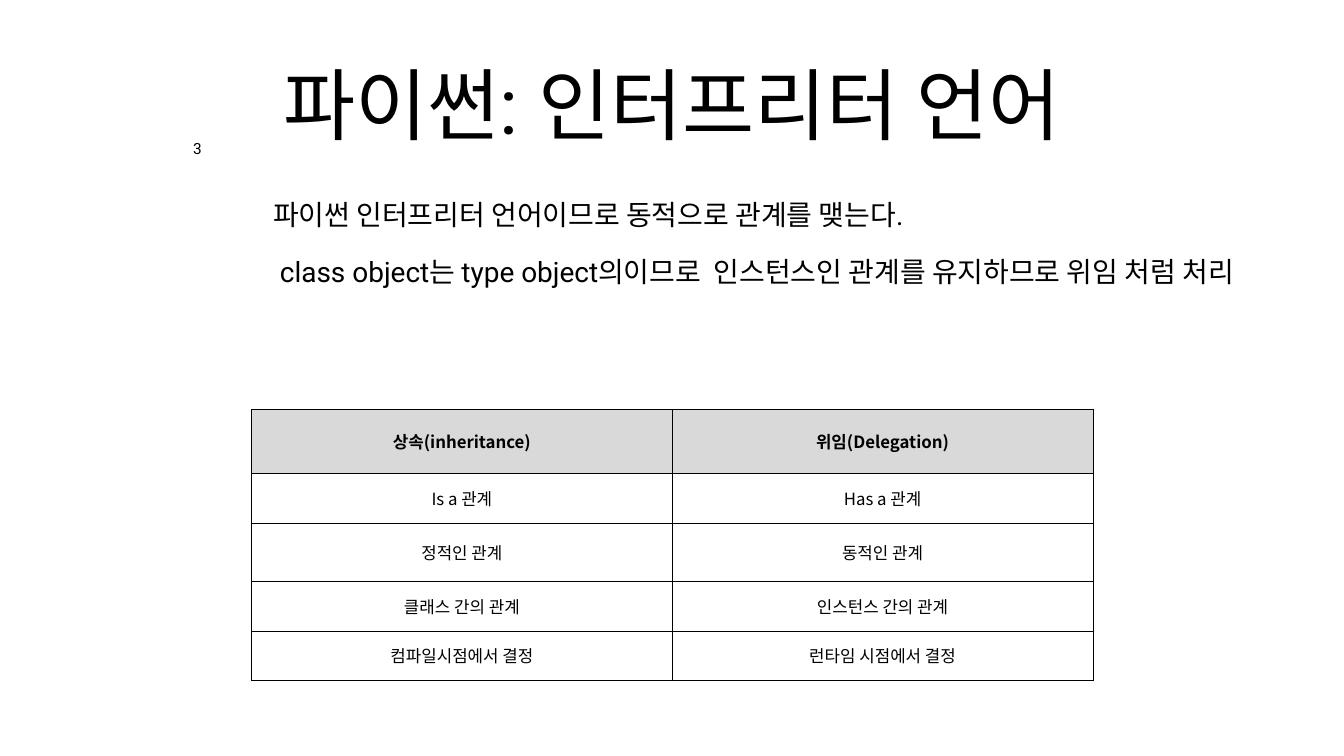
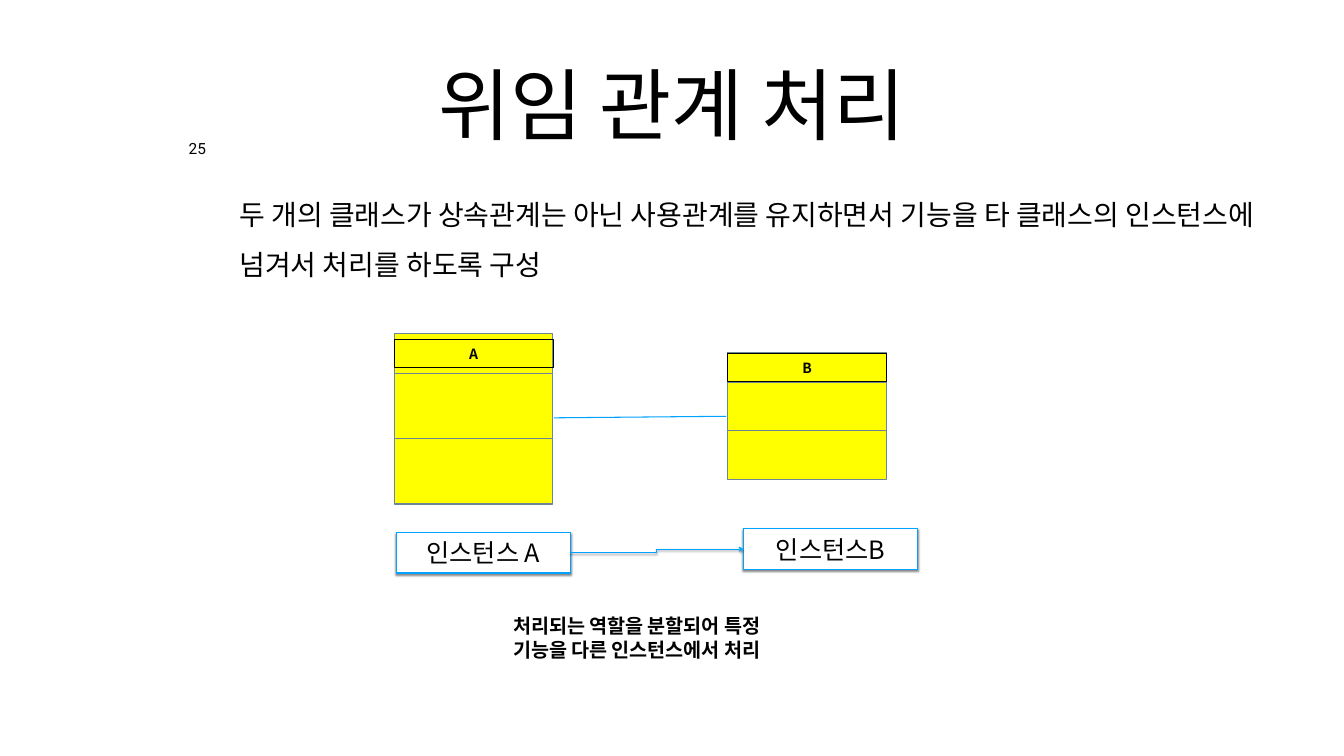
from dataclasses import dataclass

from lxml import etree
from pptx import Presentation
from pptx.dml.color import RGBColor
from pptx.enum.shapes import MSO_CONNECTOR, MSO_SHAPE
from pptx.enum.text import MSO_ANCHOR, MSO_AUTO_SIZE, PP_ALIGN
from pptx.oxml.ns import qn
from pptx.util import Pt

RECT = MSO_SHAPE.RECTANGLE
STRAIGHT, ELBOW = MSO_CONNECTOR.STRAIGHT, MSO_CONNECTOR.ELBOW
LEFT, CENTER = PP_ALIGN.LEFT, PP_ALIGN.CENTER
TOP, MIDDLE = MSO_ANCHOR.TOP, MSO_ANCHOR.MIDDLE
NO_FIT = MSO_AUTO_SIZE.NONE

LATIN, KOREAN = "Roboto", "Noto Sans CJK KR"
BLACK, WHITE = "000000", "FFFFFF"
HEADER_GREY, YELLOW = "D9D9D9", "FFFF00"
SLATE, BLUE = "6C8599", "00A2FF"
TITLE_INSET, INSET = 6, 7.2
LINE_WIDTH = 1.5


@dataclass(frozen=True)
class Box:
    left: float
    top: float
    width: float
    height: float

    def lengths(self) -> tuple:
        return Pt(self.left), Pt(self.top), Pt(self.width), Pt(self.height)


@dataclass(frozen=True)
class TextStyle:
    size: float
    font: str = KOREAN
    bold: bool = False
    align: PP_ALIGN = CENTER
    line_spacing: float = 1.0
    space_before: float = 0
    first_indent: float = 0


@dataclass(frozen=True)
class ClassDiagram:
    name: str
    left: float
    top: float
    header: float
    compartment: float


TITLE_BOX = Box(345.6, 28, 1229, 239)
TITLE_STYLE = TextStyle(112, LATIN)
NUMBER_STYLE = TextStyle(22, LATIN, line_spacing=0.8)
CELL_STYLE = TextStyle(24)
HEADER_STYLE = TextStyle(24, bold=True)
CLASS_STYLE = TextStyle(20, bold=True)
INSTANCE_STYLE = TextStyle(36)
NOTE_STYLE = TextStyle(28, bold=True, align=LEFT)

CLASS_WIDTH, CLASS_LABEL_HEIGHT = 227, 39
CLASSES = [
    ClassDiagram("A", 563, 476, 58, 93),
    ClassDiagram("B", 1039.7, 503.3, 43.2, 69),
]
INSTANCES = [
    ("인스턴스 A", Box(566, 760.3, 249, 58.3)),
    ("인스턴스B", Box(1062, 755.3, 249, 58.3)),
]
COMPARISON = [
    ("상속(inheritance)", "위임(Delegation)"),
    ("Is a 관계", "Has a 관계"),
    ("정적인 관계", "동적인 관계"),
    ("클래스 간의 관계", "인스턴스 간의 관계"),
    ("컴파일시점에서 결정", "런타임 시점에서 결정"),
]
ROW_HEIGHTS = [91, 70.5, 84, 70.5, 70.5]


def color(value: str) -> RGBColor:
    return RGBColor.from_string(value)


# Text
def write(frame, paragraphs: list[str], style: TextStyle) -> None:
    frame.text = "\n".join(paragraphs)
    for paragraph in frame.paragraphs:
        paragraph.alignment = style.align
        paragraph.line_spacing = style.line_spacing
        paragraph.space_before = Pt(style.space_before)
        if style.first_indent:
            properties = paragraph._p.get_or_add_pPr()
            properties.set("marL", "0")
            properties.set("indent", str(Pt(style.first_indent)))
        for run in paragraph.runs:
            run.font.size = Pt(style.size)
            run.font.bold = style.bold
            run.font.name = style.font
            run.font.color.rgb = color(BLACK)
            east_asian = etree.SubElement(run._r.get_or_add_rPr(), qn("a:ea"))
            east_asian.set("typeface", KOREAN)


def set_frame(frame, inset: float, anchor: MSO_ANCHOR, wrap: bool = True) -> None:
    frame.word_wrap = wrap
    frame.auto_size = NO_FIT
    frame.vertical_anchor = anchor
    frame.margin_left = frame.margin_right = Pt(inset)
    frame.margin_top = frame.margin_bottom = Pt(inset)


def add_text(slide, box: Box, paragraphs: list[str], style: TextStyle,
             inset: float = TITLE_INSET, wrap: bool = True) -> None:
    frame = slide.shapes.add_textbox(*box.lengths()).text_frame
    write(frame, paragraphs, style)
    set_frame(frame, inset, TOP, wrap)


# Shapes and lines
def set_effects(shape, shadow: bool) -> None:
    effects = etree.SubElement(shape._element.spPr, qn("a:effectLst"))
    if shadow:
        outer = etree.SubElement(effects, qn("a:outerShdw"), blurRad=str(Pt(3)),
                                 dist=str(Pt(2.4)), dir="5400000", rotWithShape="0")
        tint = etree.SubElement(outer, qn("a:srgbClr"), val=BLACK)
        etree.SubElement(tint, qn("a:alpha"), val="45000")


def add_rect(shapes, box: Box, fill: str | None, line: str,
             line_width: float = LINE_WIDTH, shadow: bool = False):
    rect = shapes.add_shape(RECT, *box.lengths())
    if fill:
        rect.fill.solid()
        rect.fill.fore_color.rgb = color(fill)
    else:
        rect.fill.background()
    rect.line.color.rgb = color(line)
    rect.line.width = Pt(line_width)
    set_effects(rect, shadow)
    return rect


def add_labelled_rect(shapes, box: Box, label: str, style: TextStyle,
                      fill: str | None, line: str, line_width: float = LINE_WIDTH,
                      shadow: bool = False):
    rect = add_rect(shapes, box, fill, line, line_width, shadow)
    write(rect.text_frame, [label], style)
    set_frame(rect.text_frame, INSET, MIDDLE)
    return rect


def add_line(slide, kind: MSO_CONNECTOR, start: tuple[float, float],
             end: tuple[float, float], shadow: bool = False):
    line = slide.shapes.add_connector(kind, *(Pt(value) for value in start + end))
    line.line.color.rgb = color(BLUE)
    line.line.width = Pt(LINE_WIDTH)
    set_effects(line, shadow)
    return line


def add_class(slide, diagram: ClassDiagram) -> None:
    shapes = slide.shapes.add_group_shape().shapes
    heights = [diagram.header, diagram.compartment, diagram.compartment]
    top = diagram.top
    for height in heights:
        add_rect(shapes, Box(diagram.left, top, CLASS_WIDTH, height), YELLOW, SLATE)
        top += height
    label_top = diagram.top + (diagram.header - CLASS_LABEL_HEIGHT) / 2
    label_box = Box(diagram.left, label_top, CLASS_WIDTH, CLASS_LABEL_HEIGHT)
    add_labelled_rect(shapes, label_box, diagram.name, CLASS_STYLE, None, BLACK, 1)


# Table
def add_borders(cell) -> None:
    properties = cell._tc.get_or_add_tcPr()
    for position, side in enumerate(("a:lnL", "a:lnR", "a:lnT", "a:lnB")):
        border = etree.Element(qn(side), w=str(Pt(1)))
        fill = etree.SubElement(border, qn("a:solidFill"))
        etree.SubElement(fill, qn("a:srgbClr"), val=BLACK)
        properties.insert(position, border)


def add_comparison(slide, box: Box) -> None:
    table = slide.shapes.add_table(len(COMPARISON), 2, *box.lengths()).table
    table.horz_banding = False
    for column in table.columns:
        column.width = Pt(box.width / 2)
    for row, (height, texts) in enumerate(zip(ROW_HEIGHTS, COMPARISON)):
        table.rows[row].height = Pt(height)
        for column, text in enumerate(texts):
            cell = table.cell(row, column)
            write(cell.text_frame, [text], CELL_STYLE if row else HEADER_STYLE)
            cell.vertical_anchor = MIDDLE
            cell.margin_left = cell.margin_right = Pt(INSET)
            cell.margin_top = cell.margin_bottom = Pt(INSET)
            if row:
                cell.fill.background()
            else:
                cell.fill.solid()
                cell.fill.fore_color.rgb = color(HEADER_GREY)
            add_borders(cell)


# Slides
def add_slide(deck, title: str, number: str, number_box: Box):
    slide = deck.slides.add_slide(deck.slide_layouts[5])
    heading = slide.shapes.title
    heading.left, heading.top, heading.width, heading.height = TITLE_BOX.lengths()
    write(heading.text_frame, [title], TITLE_STYLE)
    set_frame(heading.text_frame, TITLE_INSET, MIDDLE)
    add_text(slide, number_box, [number], NUMBER_STYLE, wrap=False)
    return slide


def build_interpreter_slide(deck) -> None:
    slide = add_slide(deck, "파이썬: 인터프리터 언어", "3", Box(270, 198, 24, 32.4))
    add_text(slide, Box(312, 252, 1505, 255.6), [
        "파이썬 인터프리터 언어이므로 동적으로 관계를 맺는다.",
        " class object는 type object의이므로  인스턴스인 관계를 유지하므로 위임 처럼 처리",
    ], TextStyle(40, LATIN, align=LEFT, line_spacing=1.5, space_before=10, first_indent=72))
    add_comparison(slide, Box(359.3, 585.4, 1202, sum(ROW_HEIGHTS)))


def build_delegation_slide(deck) -> None:
    slide = add_slide(deck, "위임 관계 처리", "25", Box(264, 198, 36, 32.4))
    add_text(slide, Box(336, 252, 1529.3, 185.8), [
        "두 개의 클래스가 상속관계는 아닌 사용관계를 유지하면서 기능을 타 클래스의 인스턴스에 "
        "넘겨서 처리를 하도록 구성",
    ], TextStyle(40, LATIN, align=LEFT, line_spacing=1.5, space_before=12))

    # Related classes
    for diagram in CLASSES:
        add_class(slide, diagram)
    add_line(slide, STRAIGHT, (791.3, 596.9), (1037.5, 594.7))

    # Delegating instances
    caller, helper = [
        add_labelled_rect(slide.shapes, box, name, INSTANCE_STYLE, WHITE, BLUE, shadow=True)
        for name, box in INSTANCES
    ]
    add_text(slide, Box(725.8, 869.8, 425.5, 82),
             ["처리되는 역할을 분할되어 특정 기능을 다른 인스턴스에서 처리"], NOTE_STYLE, INSET)
    delegation = add_line(slide, ELBOW, (815, 789.5), (1062, 784.5), shadow=True)
    delegation.begin_connect(caller, 3)
    delegation.end_connect(helper, 1)
    etree.SubElement(delegation.line._get_or_add_ln(), qn("a:tailEnd"), type="arrow")


def main() -> None:
    deck = Presentation()
    deck.slide_width, deck.slide_height = Pt(1920), Pt(1080)
    build_interpreter_slide(deck)
    build_delegation_slide(deck)
    deck.save("out.pptx")


if __name__ == "__main__":
    main()
